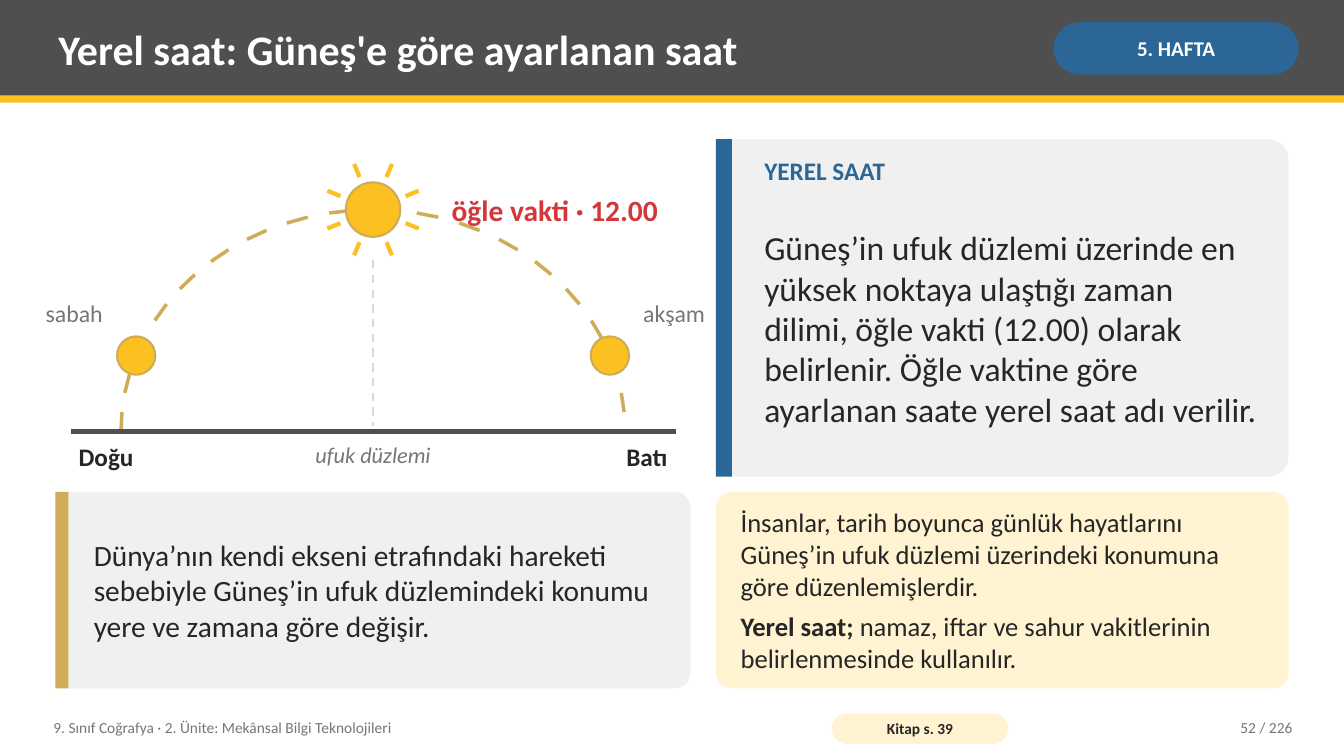
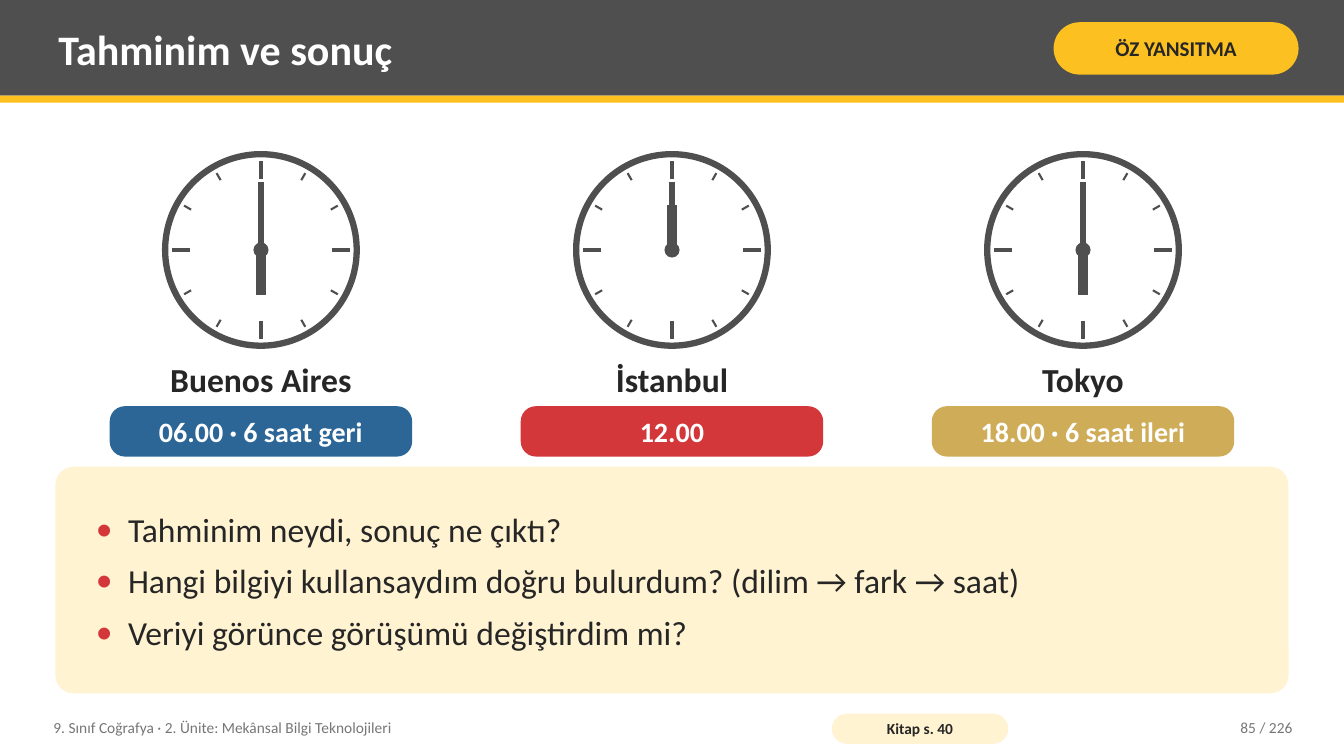
from math import cos, sin, radians

from lxml.etree import SubElement
from pptx import Presentation
from pptx.dml.color import RGBColor
from pptx.enum.dml import MSO_LINE
from pptx.enum.shapes import MSO_CONNECTOR, MSO_SHAPE
from pptx.enum.text import MSO_ANCHOR, MSO_AUTO_SIZE, PP_ALIGN
from pptx.oxml.ns import qn
from pptx.util import Inches, Pt

DARK = RGBColor(0x4F, 0x4F, 0x4F)
YELLOW = RGBColor(0xFC, 0xC0, 0x21)
GOLD = RGBColor(0xCE, 0xAC, 0x58)
BLUE = RGBColor(0x2C, 0x66, 0x96)
RED = RGBColor(0xD3, 0x37, 0x3A)
CREAM = RGBColor(0xFF, 0xF3, 0xD1)
PALE = RGBColor(0xF0, 0xF0, 0xF0)
RULE = RGBColor(0xD9, 0xD9, 0xD9)
GRAY = RGBColor(0x76, 0x76, 0x76)
INK = RGBColor(0x26, 0x26, 0x26)
WHITE = RGBColor(0xFF, 0xFF, 0xFF)

LEFT, CENTER, RIGHT = PP_ALIGN.LEFT, PP_ALIGN.CENTER, PP_ALIGN.RIGHT
TOP, MIDDLE = MSO_ANCHOR.TOP, MSO_ANCHOR.MIDDLE
FONT = "Calibri"
UNIT = "9. Sınıf Coğrafya · 2. Ünite: Mekânsal Bilgi Teknolojileri"
PAGES = 226
EDGE, SPAN = 0.55, 12.23


def polar(x, y, angle, rx, ry=None):
    """Point on an ellipse; angles run counterclockwise from the right."""
    turn = radians(angle)
    return x + rx * cos(turn), y - (ry or rx) * sin(turn)


class Deck:
    def __init__(self):
        self.prs = Presentation()
        self.prs.slide_width = Inches(13.33)
        self.prs.slide_height = Inches(7.5)
        self.slide = None

    # Slide frame: header band, title, tag and footer
    def start(self, layout, title, tag, fill, color, book, page):
        self.slide = self.prs.slides.add_slide(self.prs.slide_layouts[layout])
        self.shape(MSO_SHAPE.RECTANGLE, 0, 0, 13.33, 0.95, DARK)
        self.shape(MSO_SHAPE.RECTANGLE, 0, 0.95, 13.33, 0.07, YELLOW)
        head = self.place(self.slide.shapes.title, 0.5, 0.07, 9.75, 0.82)
        self.label(head, [title], 30, WHITE, bold=True)
        pill = self.round(10.45, 0.22, 2.43, 0.52, 0.5, fill)
        self.label(pill, [tag], 15, color, bold=True, align=CENTER, pad=(0.05, 0.02))
        self.text(0.45, 7.04, 7.6, 0.36, UNIT, 11, GRAY)
        pill = self.round(8.25, 7.08, 1.75, 0.3, 0.5, CREAM)
        self.label(pill, [book], 11, INK, bold=True, align=CENTER, pad=(0.04, 0))
        self.text(11.3, 7.04, 1.6, 0.36, f"{page} / {PAGES}", 11, GRAY, align=RIGHT)

    # Move a placeholder into position, in front of what is drawn so far
    def place(self, holder, x, y, w, h):
        holder.left, holder.top = Inches(x), Inches(y)
        holder.width, holder.height = Inches(w), Inches(h)
        self.slide.shapes.element.append(holder.element)
        return holder

    # Fill a shape with formatted paragraphs
    def label(self, shape, lines, size, color, bold=False, italic=False,
              align=LEFT, anchor=MIDDLE, pad=(0.08, 0.04), gap=0):
        frame = shape.text_frame
        frame.word_wrap = True
        frame.auto_size = MSO_AUTO_SIZE.NONE
        frame.vertical_anchor = anchor
        frame.margin_left = frame.margin_right = Inches(pad[0])
        frame.margin_top = frame.margin_bottom = Inches(pad[1])
        frame.text = "\n".join(lines)
        for para in frame.paragraphs:
            para.alignment = align
            para.space_before = Pt(0)
            para.space_after = Pt(gap)
            for run in para.runs:
                self.font(run, size, color, bold, italic)
        frame.paragraphs[-1].space_after = Pt(0)
        return frame

    def font(self, run, size, color, bold=False, italic=False):
        run.font.name, run.font.size = FONT, Pt(size)
        run.font.bold, run.font.italic = bold, italic
        run.font.color.rgb = color

    def text(self, x, y, w, h, words, size, color, **style):
        box = self.slide.shapes.add_textbox(Inches(x), Inches(y), Inches(w), Inches(h))
        self.label(box, [words], size, color, **style)

    def shape(self, kind, x, y, w, h, fill, edge=None, width=1.5):
        item = self.slide.shapes.add_shape(kind, Inches(x), Inches(y), Inches(w), Inches(h))
        item.shadow.inherit = False
        item.fill.solid()
        item.fill.fore_color.rgb = fill
        if edge is None:
            item.line.fill.background()
        else:
            item.line.color.rgb = edge
            item.line.width = Pt(width)
        return item

    def round(self, x, y, w, h, bend, fill):
        item = self.shape(MSO_SHAPE.ROUNDED_RECTANGLE, x, y, w, h, fill)
        item.adjustments[0] = bend
        return item

    def disc(self, x, y, size, fill, edge=None, width=1.5):
        self.shape(MSO_SHAPE.OVAL, x - size / 2, y - size / 2, size, size, fill, edge, width)

    def card(self, x, y, w, h, bend, bar, color):
        self.round(x, y, w, h, bend, PALE)
        self.shape(MSO_SHAPE.RECTANGLE, x, y, bar, h, color)

    def line(self, start, end, color, width, dash=None):
        ends = [Inches(v) for v in (*start, *end)]
        item = self.slide.shapes.add_connector(MSO_CONNECTOR.STRAIGHT, *ends)
        item.line.color.rgb = color
        item.line.width = Pt(width)
        if dash:
            item.line.dash_style = dash
        SubElement(item.element.spPr, qn("a:effectLst"))

    def ray(self, x, y, angle, near, far, color, width):
        self.line(polar(x, y, angle, near), polar(x, y, angle, far), color, width)

    # Bulleted list in the body placeholder
    def bullets(self, x, y, w, h, lines):
        body = self.place(self.slide.placeholders[1], x, y, w, h)
        frame = self.label(body, lines, 24, INK, pad=(0, 0.08), gap=8)
        for para in frame.paragraphs:
            props = para._p.get_or_add_pPr()
            props.set("marL", str(Inches(0.32)))
            props.set("indent", str(-Inches(0.32)))
            tint = SubElement(props, qn("a:buClr"))
            SubElement(tint, qn("a:srgbClr"), val=str(RED))
            SubElement(props, qn("a:buFont"), typeface=FONT)
            SubElement(props, qn("a:buChar"), char="•")

    # Clock face showing a full hour
    def clock(self, x, y, hour):
        self.disc(x, y, 1.9, WHITE, DARK, 4.5)
        for mark in range(12):
            near, width = (0.8, 1.5) if mark % 3 else (0.7, 3.5)
            self.ray(x, y, 90 - 30 * mark, near, 0.88, DARK, width)
        self.ray(x, y, 90, 0, 0.67, DARK, 4)
        self.ray(x, y, 90 - 30 * hour, 0, 0.45, DARK, 7)
        self.disc(x, y, 0.15, DARK)


def local(deck):
    deck.start(5, "Yerel saat: Güneş'e göre ayarlanan saat", "5. HAFTA",
               BLUE, WHITE, "Kitap s. 39", 52)

    # Path of the sun above the horizon
    x, y, rx, ry = 3.7, 4.28, 2.5, 2.2
    for angle in range(180, 0, -10):
        deck.line(polar(x, y, angle, rx, ry), polar(x, y, angle - 5, rx, ry), GOLD, 2.5)
    deck.line((0.7, y), (6.7, y), DARK, 3)
    deck.text(0.7, 4.34, 1.3, 0.42, "Doğu", 18, INK, bold=True, anchor=TOP)
    deck.text(5.4, 4.34, 1.3, 0.42, "Batı", 18, INK, bold=True, align=RIGHT, anchor=TOP)
    deck.text(2.4, 4.34, 2.6, 0.42, "ufuk düzlemi", 16, GRAY, italic=True,
              align=CENTER, anchor=TOP)

    # Morning, noon and evening sun
    for angle in (160, 20):
        deck.disc(*polar(x, y, angle, rx, ry), 0.38, YELLOW, GOLD)
    deck.text(0.1, 2.91, 1, 0.4, "sabah", 17, GRAY, align=RIGHT)
    deck.text(6.3, 2.91, 1, 0.4, "akşam", 17, GRAY)
    noon = y - ry
    for step in range(8):
        deck.ray(x, noon, 22.5 + 45 * step, 0.35, 0.49, YELLOW, 3)
    deck.disc(x, noon, 0.54, YELLOW, GOLD)
    deck.text(4.4, 1.82, 2.3, 0.52, "öğle vakti · 12.00", 21, RED, bold=True)
    deck.line((x, 2.58), (x, 4.23), RULE, 1.5, MSO_LINE.DASH)

    # Explanation card
    deck.card(EDGE, 4.88, 6.3, 1.95, 0.08, 0.13, GOLD)
    deck.text(0.85, 4.88, 5.85, 1.95,
              "Dünya’nın kendi ekseni etrafındaki hareketi sebebiyle Güneş’in ufuk "
              "düzlemindeki konumu yere ve zamana göre değişir.", 21, INK)

    # Definition card
    deck.card(7.1, 1.38, 5.68, 3.35, 0.06, 0.16, BLUE)
    deck.text(7.5, 1.5, 5.08, 0.45, "YEREL SAAT", 18, BLUE, bold=True, anchor=TOP)
    deck.text(7.5, 1.93, 5.08, 2.65,
              "Güneşʼin ufuk düzlemi üzerinde en yüksek noktaya ulaştığı zaman dilimi, "
              "öğle vakti (12.00) olarak belirlenir. Öğle vaktine göre ayarlanan saate "
              "yerel saat adı verilir.", 24, INK)

    # Usage card
    panel = deck.round(7.1, 4.88, 5.68, 1.95, 0.08, CREAM)
    frame = deck.label(panel, [
        "İnsanlar, tarih boyunca günlük hayatlarını Güneş’in ufuk düzlemi "
        "üzerindeki konumuna göre düzenlemişlerdir.",
        "Yerel saat;"], 19, INK, pad=(0.2, 0.08), gap=6)
    last = frame.paragraphs[-1]
    last.runs[0].font.bold = True
    rest = last.add_run()
    rest.text = " namaz, iftar ve sahur vakitlerinin belirlenmesinde kullanılır."
    deck.font(rest, 19, INK)


def result(deck):
    deck.start(1, "Tahminim ve sonuç", "ÖZ YANSITMA", YELLOW, INK, "Kitap s. 40", 85)

    # City clocks in three equal columns
    cities = [("Buenos Aires", 6, "06.00 · 6 saat geri", BLUE),
              ("İstanbul", 12, "12.00", RED),
              ("Tokyo", 18, "18.00 · 6 saat ileri", GOLD)]
    step = SPAN / len(cities)
    for col, (city, hour, note, color) in enumerate(cities):
        x = EDGE + step * (col + 0.5)
        deck.clock(x, 2.48, hour)
        deck.text(x - 1.95, 3.51, 3.9, 0.5, city, 24, INK, bold=True, align=CENTER)
        badge = deck.round(x - 1.5, 4.03, 3, 0.5, 0.3, color)
        deck.label(badge, [note], 20, WHITE, bold=True, align=CENTER, pad=(0.14, 0))

    # Reflection questions
    deck.round(EDGE, 4.63, SPAN, 2.25, 0.08, CREAM)
    deck.bullets(0.95, 4.63, 11.43, 2.25, [
        "Tahminim neydi, sonuç ne çıktı?",
        "Hangi bilgiyi kullansaydım doğru bulurdum? (dilim → fark → saat)",
        "Veriyi görünce görüşümü değiştirdim mi?"])


def main():
    deck = Deck()
    local(deck)
    result(deck)
    deck.prs.save("out.pptx")


if __name__ == "__main__":
    main()
